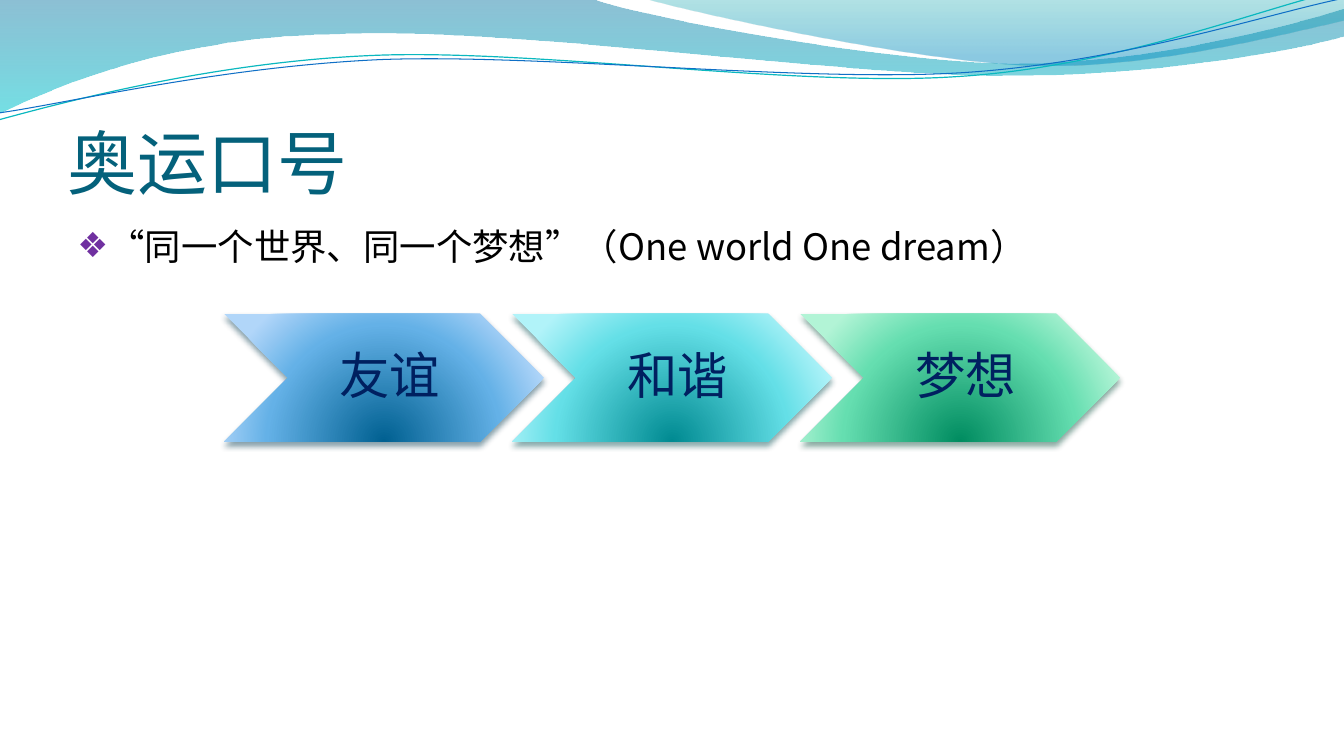
from math import cos, radians, sin

from lxml.etree import SubElement
from pptx import Presentation
from pptx.dml.color import RGBColor
from pptx.enum.shapes import MSO_SHAPE
from pptx.enum.text import MSO_ANCHOR, MSO_AUTO_SIZE, PP_ALIGN
from pptx.oxml import parse_xml
from pptx.oxml.ns import nsdecls, qn
from pptx.util import Cm, Pt

COLORS = {
    "title": "04617B", "text": "000000", "bullet": "7030A0", "label": "002060",
    "teal line": "0AB8BF", "blue line": "0F6FC6",
}
FONTS = {"main": "Noto Sans CJK JP", "label": "Noto Sans CJK SC"}
CURVE_TILT = -2.7

# Gradients: (position %, colour, opacity %)
LEFT_WAVE = [(0, "0074A1", 45), (100, "00C6CF", 55)]
RIGHT_WAVE = [(0, "00A1A9", 30), (80, "008BBF", 45)]
DOWNWARD = '<a:lin ang="5400000" scaled="0"/>'
FROM_BELOW = ('<a:path path="circle"><a:fillToRect l="50000" t="130000" '
              'r="50000" b="-30000"/></a:path>')

# Outlines in cm: a pair is a straight step, six numbers are a Bezier step
LEFT_OUTLINE = [
    (0, 0), (14.91, -0.03), (16.1, 0.43, 22.48, 1.6, 25.68, 1.6),
    (28.91, 1.6, 32.46, 0.66, 33.86, 0.23), (33.91, 0.91),
    (33.3, 1.12, 29.46, 1.93, 25.25, 1.91), (21.06, 1.91, 12.93, 0.71, 8.71, 0.86),
    (4.37, 0.91, 1.55, 2.11, -0.03, 2.87), (0, 0)]
RIGHT_OUTLINE = [
    (16.23, -0.03), (17.25, 0.28, 23.09, 1.57, 26.04, 1.65),
    (28.98, 1.75, 32.56, 0.81, 33.86, 0.53), (33.86, 0), (16.23, -0.03)]
TEAL_CURVE = [
    (-0.03, 3.02), (1.63, 2.57, 5.36, 1.57, 9.37, 1.4),
    (13.39, 1.22, 20.07, 2.21, 24.13, 1.93), (28.19, 1.68, 31.8, 0.2, 33.81, -0.25)]
BLUE_CURVE = [
    (0, 2.84), (1.6, 2.62, 5.54, 1.68, 9.6, 1.5),
    (13.64, 1.35, 20.22, 2.08, 24.26, 1.83), (28.32, 1.57, 31.88, 0.36, 33.88, -0.05)]

# Slogan words: text, gradient, shadow colour
SLOGAN = [
    ("友谊", ("006091", "64B1E7", "B1D6F9"), "00374C"),
    ("和谐", ("008A91", "64DFE7", "B1F3F9"), "024B4E"),
    ("梦想", ("008C60", "65DEB0", "B2F4D6"), "044A37"),
]


def write(frame, text, *, size, color, font, align=PP_ALIGN.LEFT, spacing=Pt(35),
          after=0, anchor=MSO_ANCHOR.TOP, insets=(0.25, 0.13, 0.25, 0.13), bullet=None):
    """Fill a text frame with one formatted paragraph."""
    frame.word_wrap = True
    frame.auto_size = MSO_AUTO_SIZE.NONE
    frame.vertical_anchor = anchor
    (frame.margin_left, frame.margin_top,
     frame.margin_right, frame.margin_bottom) = map(Cm, insets)
    frame.text = text
    paragraph = frame.paragraphs[0]
    if bullet:
        properties = paragraph._p.get_or_add_pPr()
        properties.set("marL", str(Cm(0.76)))
        properties.set("indent", str(-Cm(0.76)))
        tint = SubElement(properties, qn("a:buClr"))
        SubElement(tint, qn("a:srgbClr"), val=COLORS["bullet"])
        SubElement(properties, qn("a:buSzPct"), val="95000")
        SubElement(properties, qn("a:buChar"), char=bullet)
    paragraph.alignment = align
    paragraph.line_spacing = spacing
    paragraph.space_before = Pt(0)
    paragraph.space_after = Pt(after)
    run = paragraph.runs[0]
    run.font.size = Pt(size)
    run.font.name = font
    run.font.color.rgb = RGBColor.from_string(color)
    SubElement(run._r.get_or_add_rPr(), qn("a:ea"), typeface=font)


def turn(point, degrees, center=(16.9, 1.47)):
    """Rotate a point clockwise about the middle of the header curves."""
    x, y = point[0] - center[0], point[1] - center[1]
    c, s = cos(radians(degrees)), sin(radians(degrees))
    return center[0] + x * c - y * s, center[1] + x * s + y * c


class SlideBuilder:
    def __init__(self, presentation):
        self.slide = presentation.slides.add_slide(presentation.slide_layouts[1])
        self.shapes = self.slide.shapes

    def gradient(self, shape, stops, direction):
        shape.fill.background()
        marks = "".join(
            f'<a:gs pos="{position * 1000}"><a:srgbClr val="{color}">'
            f'<a:alpha val="{opacity * 1000}"/></a:srgbClr></a:gs>'
            for position, color, opacity in stops)
        blend = parse_xml(f'<a:gradFill {nsdecls("a")} rotWithShape="1">'
                          f'<a:gsLst>{marks}</a:gsLst>{direction}</a:gradFill>')
        properties = shape._element.spPr
        properties.replace(properties.find(qn("a:noFill")), blend)

    def outline(self, steps, closed, tilt=0):
        points = [turn(step[i:i + 2], -tilt) for step in steps for i in range(0, len(step), 2)]
        start, *rest = [(Cm(x), Cm(y)) for x, y in points]
        builder = self.shapes.build_freeform(*start)
        builder.add_line_segments(rest, close=closed)
        shape = builder.convert_to_shape()
        shape.rotation = tilt
        shape.shadow.inherit = False
        # Join each three points of a Bezier step into one curve
        segments = iter(list(shape._element.iter(qn("a:lnTo"))))
        for step in steps[1:]:
            first = next(segments)
            if len(step) == 6:
                first.tag = qn("a:cubicBezTo")
                for _ in range(2):
                    other = next(segments)
                    first.append(other[0])
                    other.getparent().remove(other)
        return shape

    def wave(self, steps, stops):
        shape = self.outline(steps, True)
        shape.line.fill.background()
        self.gradient(shape, stops, DOWNWARD)

    def curve(self, steps, color, width):
        shape = self.outline(steps, False, CURVE_TILT)
        shape.fill.background()
        shape.line.color.rgb = RGBColor.from_string(color)
        shape.line.width = Pt(width)

    def placeholder(self, index, box, text, **style):
        holder = self.slide.placeholders[index]
        holder.left, holder.top, holder.width, holder.height = map(Cm, box)
        self.shapes._spTree.append(holder._element)
        write(holder.text_frame, text, font=FONTS["main"], **style)

    def chevron(self, box, text, colors, shade):
        shape = self.shapes.add_shape(MSO_SHAPE.CHEVRON, *map(Cm, box))
        shape.line.fill.background()
        self.gradient(shape, [(p, c, 100) for p, c in zip((0, 68, 100), colors)], FROM_BELOW)
        shape.shadow.inherit = False
        effects = shape._element.spPr.find(qn("a:effectLst"))
        shadow = SubElement(effects, qn("a:outerShdw"), blurRad=str(Pt(4.5)),
                            dist=str(Pt(3)), dir="5400000", rotWithShape="0")
        tint = SubElement(shadow, qn("a:srgbClr"), val=shade)
        SubElement(tint, qn("a:alpha"), val="48000")
        write(shape.text_frame, text, size=36, color=COLORS["label"], font=FONTS["label"],
              align=PP_ALIGN.CENTER, spacing=0.9, after=12.6, anchor=MSO_ANCHOR.MIDDLE,
              insets=(0.41, 0.13, 0.13, 0.13))


def main():
    presentation = Presentation()
    presentation.slide_width, presentation.slide_height = Cm(33.87), Cm(19.05)
    page = SlideBuilder(presentation)

    # Wave header
    page.wave(LEFT_OUTLINE, LEFT_WAVE)
    page.wave(RIGHT_OUTLINE, RIGHT_WAVE)
    page.curve(TEAL_CURVE, COLORS["teal line"], 0.85)
    page.curve(BLUE_CURVE, COLORS["blue line"], 0.75)

    # Title and motto
    page.placeholder(0, (1.7, 1.96, 30.48, 3.18), "奥运口号", size=50, color=COLORS["title"],
                     anchor=MSO_ANCHOR.BOTTOM, insets=(0, 0.13, 0, 0))
    page.placeholder(1, (1.7, 5.38, 30.48, 12.19), "“同一个世界、同一个梦想”（One world One dream）",
                     size=26, color=COLORS["text"], bullet="❖")

    # Row of slogan words
    for i, (word, colors, shade) in enumerate(SLOGAN):
        page.chevron((5.65 + 7.26 * i, 7.91, 8.06, 3.22), word, colors, shade)

    presentation.save("out.pptx")


if __name__ == "__main__":
    main()
